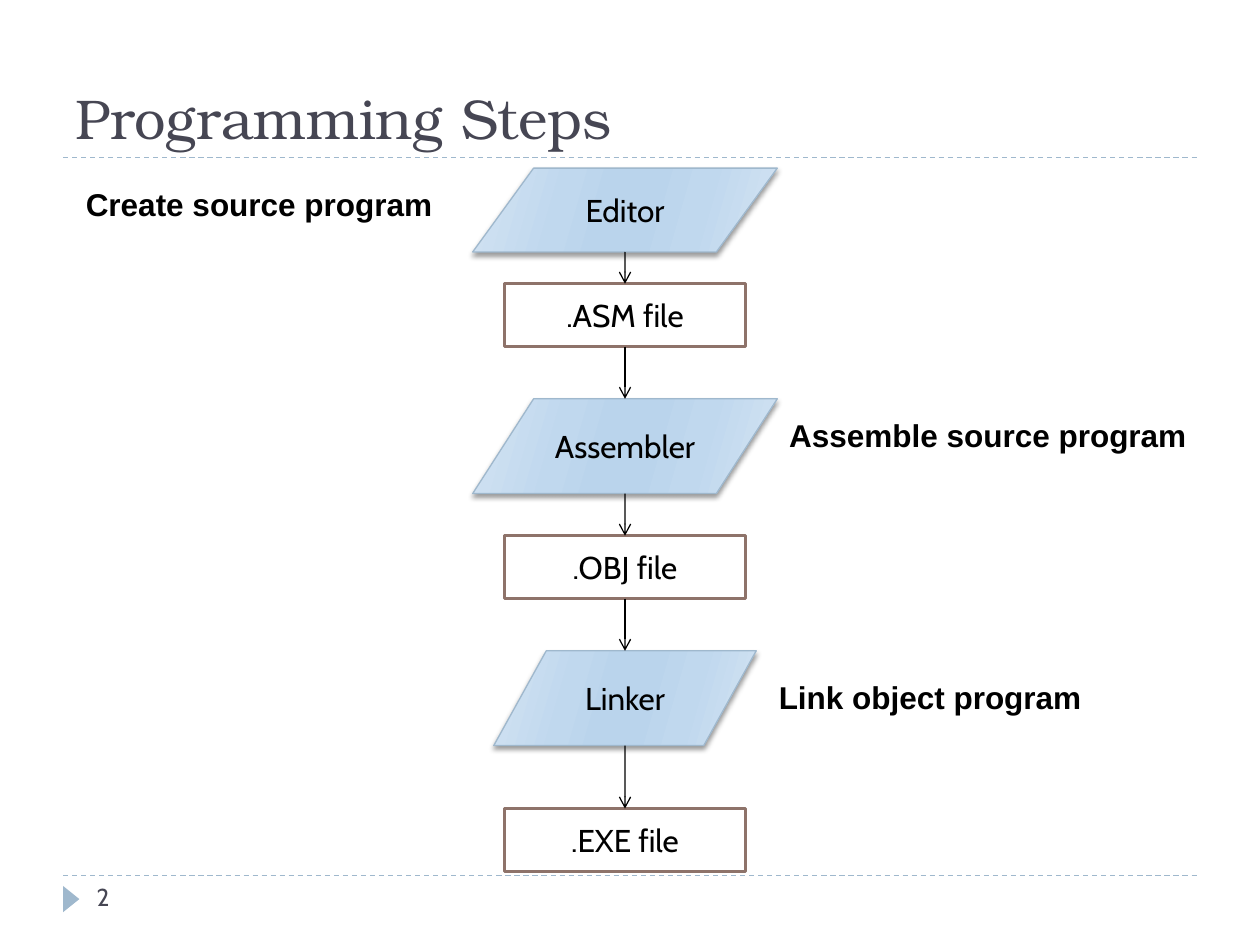
from itertools import pairwise

from lxml import etree
from pptx import Presentation
from pptx.dml.color import RGBColor
from pptx.enum.dml import MSO_LINE
from pptx.enum.shapes import MSO_CONNECTOR, MSO_SHAPE
from pptx.enum.text import MSO_ANCHOR, PP_ALIGN
from pptx.oxml.ns import qn
from pptx.util import Cm, Pt

TOOL = MSO_SHAPE.FLOWCHART_DATA
FILE = MSO_SHAPE.FLOWCHART_PROCESS
TRIANGLE = MSO_SHAPE.ISOSCELES_TRIANGLE
STRAIGHT = MSO_CONNECTOR.STRAIGHT
DASH = MSO_LINE.DASH
TOP, MIDDLE, BOTTOM = MSO_ANCHOR.TOP, MSO_ANCHOR.MIDDLE, MSO_ANCHOR.BOTTOM
CENTER, LEFT = PP_ALIGN.CENTER, PP_ALIGN.LEFT
TOP_SITE, BOTTOM_SITE = 0, 2


def color(hex_code):
    return RGBColor.from_string(hex_code)


def add_xml(parent, tag, **attributes):
    return etree.SubElement(parent, qn(tag), attributes)


class FlowSlide:
    BLACK, WHITE, INK = "000000", "FFFFFF", "464653"
    ACCENT, BROWN = "9FB8CD", "8E736A"
    BODY, HEADING, LABEL = "Cabin", "TeX Gyre Bonum", "Arial"
    STOPS = [(0, "D3E3F2"), (30, "C0D8EE"), (45, "BAD4EC"),
             (55, "BAD4EC"), (73, "C0D8EE"), (100, "D3E3F2")]

    def __init__(self, presentation):
        self.slide = presentation.slides.add_slide(presentation.slide_layouts[6])

    def fill_text(self, frame, words, size, font, ink, bold=False, align=LEFT, anchor=TOP):
        frame.word_wrap = True
        frame.vertical_anchor = anchor
        paragraph = frame.paragraphs[0]
        paragraph.alignment = align
        run = paragraph.add_run()
        run.text = words
        run.font.size = Pt(size)
        run.font.name = font
        run.font.bold = bold
        run.font.color.rgb = color(ink)

    def text(self, words, left, top, width, height, **style):
        box = self.slide.shapes.add_textbox(Cm(left), Cm(top), Cm(width), Cm(height))
        self.fill_text(box.text_frame, words, **style)

    def label(self, words, left, top, width):
        self.text(words, left, top, width, 1.02, size=18, font=self.LABEL,
                  ink=self.BLACK, bold=True)

    def shape(self, kind, left, top, width, height, fill):
        shape = self.slide.shapes.add_shape(kind, Cm(left), Cm(top), Cm(width), Cm(height))
        shape.shadow.inherit = False
        shape.fill.solid()
        shape.fill.fore_color.rgb = color(fill)
        shape.line.fill.background()
        return shape

    def step(self, kind, words, center, top, width, height):
        step = self.shape(kind, center - width / 2, top, width, height, self.WHITE)
        is_tool = kind == TOOL
        step.line.color.rgb = color(self.ACCENT if is_tool else self.BROWN)
        step.line.width = Pt(0.75 if is_tool else 1.5)
        if is_tool:
            self.shade(step)
        self.fill_text(step.text_frame, words, 18, self.BODY, self.BLACK,
                       align=CENTER, anchor=MIDDLE)
        return step

    def shade(self, shape):
        # Gradient with six stops
        shape.fill.gradient()
        shape.fill.gradient_angle = 344
        properties = shape._element.spPr
        stops = properties.find(".//" + qn("a:gsLst"))
        for stop in list(stops):
            stops.remove(stop)
        for position, tint in self.STOPS:
            stop = add_xml(stops, "a:gs", pos=str(position * 1000))
            add_xml(stop, "a:srgbClr", val=tint)
        # Soft shadow below
        shadow = add_xml(properties.find(qn("a:effectLst")), "a:outerShdw",
                         blurRad=str(Pt(3)), dist=str(Pt(2)), dir="5400000", rotWithShape="0")
        shade = add_xml(shadow, "a:srgbClr", val=self.BLACK)
        add_xml(shade, "a:alpha", val="40000")

    def line(self, x1, y1, x2, y2, ink):
        line = self.slide.shapes.add_connector(STRAIGHT, x1, y1, x2, y2)
        line.line.color.rgb = color(ink)
        line.line.width = Pt(0.75)
        add_xml(line._element.spPr, "a:effectLst")
        return line

    def rule(self, y):
        self.line(Cm(1.27), Cm(y), Cm(24.13), Cm(y), self.ACCENT).line.dash_style = DASH

    def arrow(self, upper, lower):
        x = upper.left + upper.width // 2
        arrow = self.line(x, upper.top + upper.height, x, lower.top, self.BLACK)
        add_xml(arrow._element.spPr.find(qn("a:ln")), "a:tailEnd", type="arrow")
        if upper.auto_shape_type == FILE:
            arrow.begin_connect(upper, BOTTOM_SITE)
        if lower.auto_shape_type == FILE:
            arrow.end_connect(lower, TOP_SITE)


def main():
    presentation = Presentation()
    presentation.slide_width, presentation.slide_height = Cm(25.4), Cm(19.05)
    page = FlowSlide(presentation)

    # Frame: rules, marker, title and page number
    for y in (17.65, 3.18):
        page.rule(y)
    page.shape(TRIANGLE, 1.17, 17.96, 0.53, 0.33, page.ACCENT).rotation = 90
    page.text("Programming Steps", 1.27, 0.43, 22.86, 2.74, size=32,
              font=page.HEADING, ink=page.INK, anchor=BOTTOM)
    page.text("2", 1.7, 17.65, 5.5, 1.02, size=14, font=page.BODY, ink=page.INK)

    # Flow: tools alternate with the files they produce
    flow = [
        (TOOL, "Editor", 3.39, 6.14, 1.69),
        (FILE, ".ASM file", 5.72, 4.87, 1.27),
        (TOOL, "Assembler", 8.04, 6.14, 1.91),
        (FILE, ".OBJ file", 10.8, 4.87, 1.27),
        (TOOL, "Linker", 13.12, 5.29, 1.91),
        (FILE, ".EXE file", 16.3, 4.87, 1.27),
    ]
    steps = [page.step(kind, words, 12.6, top, width, height)
             for kind, words, top, width, height in flow]
    for upper, lower in pairwise(steps):
        page.arrow(upper, lower)

    # What each tool does
    page.label("Create source program", 1.48, 3.6, 7.83)
    page.label("Assemble source program", 15.66, 8.26, 9.1)
    page.label("Link object program", 15.45, 13.55, 7.83)

    presentation.save("out.pptx")


if __name__ == "__main__":
    main()
